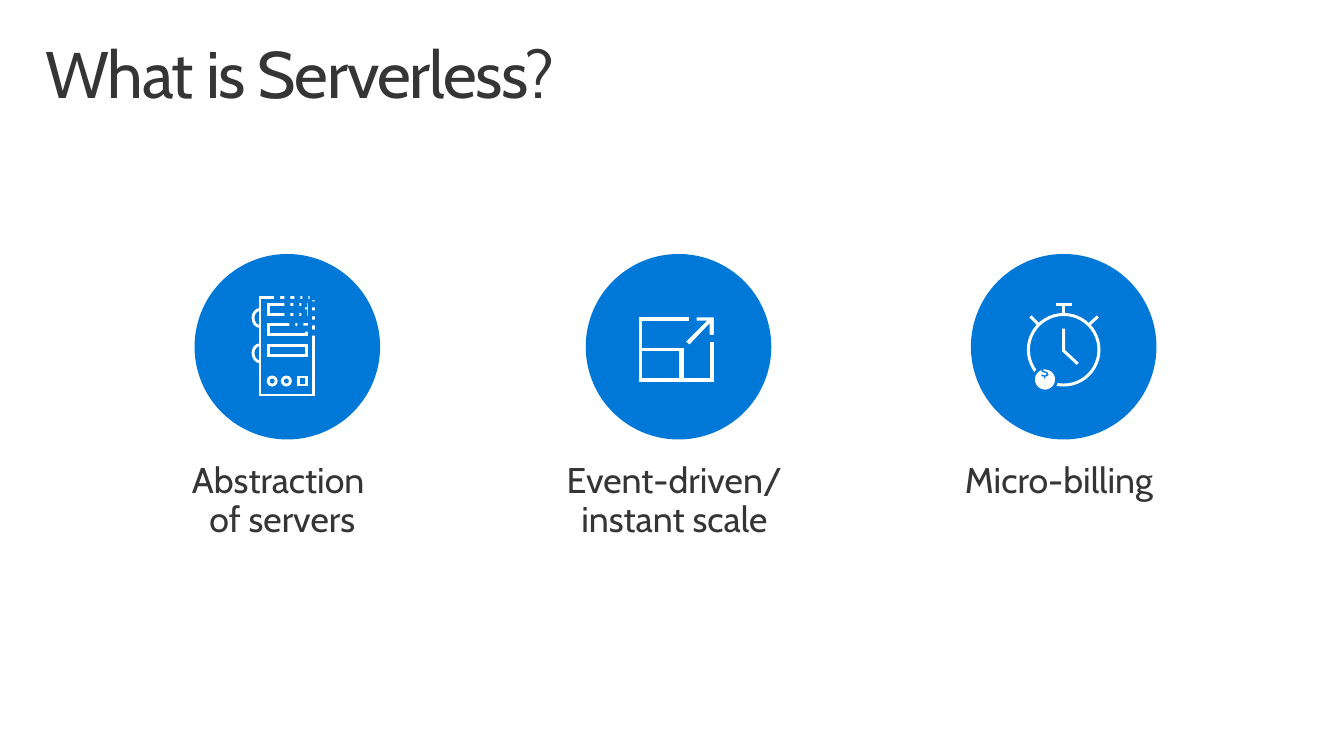
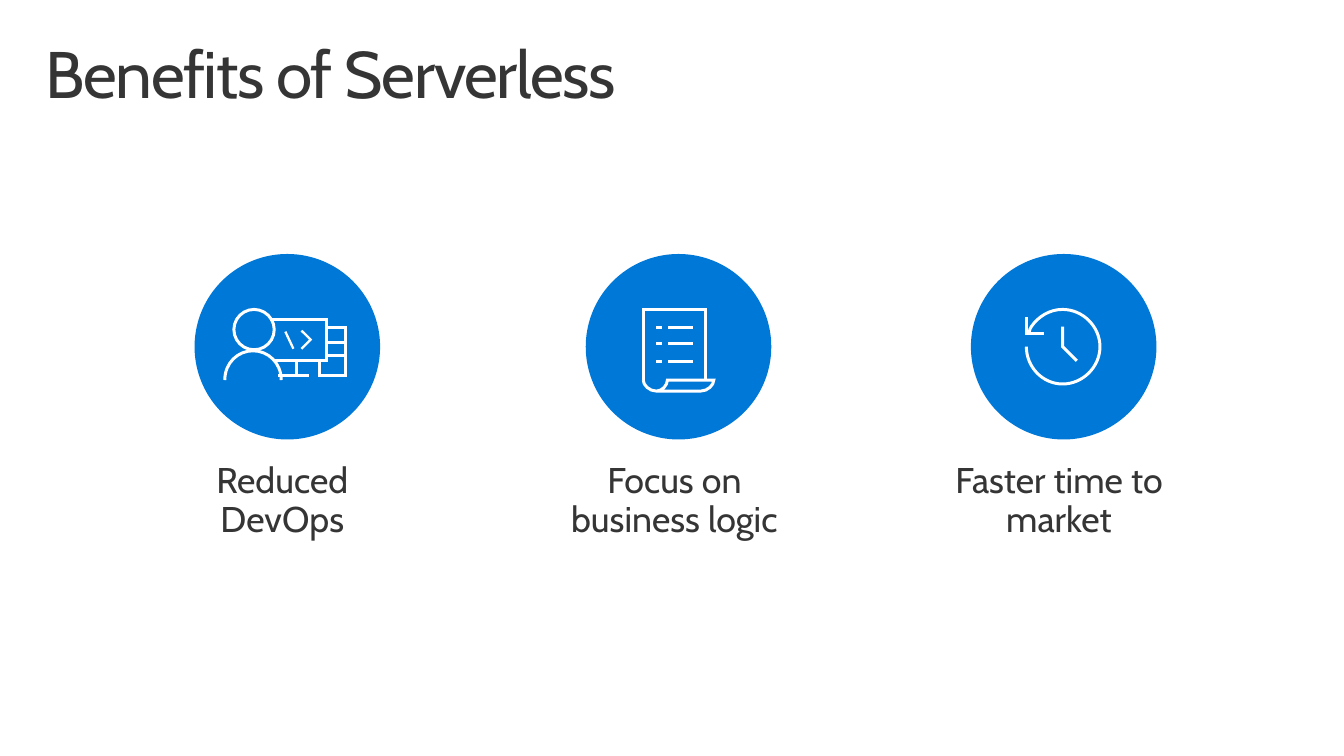
from lxml.etree import SubElement
from pptx import Presentation
from pptx.dml.color import RGBColor
from pptx.enum.shapes import MSO_CONNECTOR as Link, MSO_SHAPE as Kind
from pptx.enum.text import MSO_ANCHOR as Anchor, MSO_AUTO_SIZE as Fit, PP_ALIGN as Align
from pptx.oxml.ns import qn
from pptx.util import Pt

PX = 9144  # 100 px to the inch
BLUE = RGBColor(0x00, 0x78, 0xD7)
WHITE = RGBColor(0xFF, 0xFF, 0xFF)
INK = RGBColor(0x35, 0x35, 0x35)

THIN, MID, BOLD = 1.63, 2, 2.13
TOP, SIZE = 252, 184
COLUMNS = [(193, 144, 282), (581, 528, 292), (963, 921, 269)]  # badge x, caption x, width

TITLE = {"name": "Cabin", "size": Pt(47)}
CAPTION = {"name": "Cabin", "size": Pt(25.5)}
SIGN = {"name": "Cabin", "size": Pt(11.8)}


def px(*nums):
    return [round(n * PX) for n in nums]


def style(frame, text, form, color, pad, **para):
    """Fill a text frame and format its only paragraph."""
    sides = ("margin_left", "margin_top", "margin_right", "margin_bottom")
    for side, size in zip(sides, px(*pad)):
        setattr(frame, side, size)
    frame.vertical_anchor = Anchor.TOP
    frame.text = text
    first = frame.paragraphs[0]
    for key, val in {"line_spacing": 0.9, **para}.items():
        setattr(first, key, val)
    for run in first.runs:
        for key, val in form.items():
            setattr(run.font, key, val)
        run.font.color.rgb = color


def stroke(shape, width, color=WHITE):
    shape.line.color.rgb = color
    shape.line.width = Pt(width)
    SubElement(shape.line._get_or_add_ln(), qn("a:miter"), lim="800000")


def paint(shape, fill=None, width=0, color=WHITE):
    shape.shadow.inherit = False
    if fill is None:
        shape.fill.background()
    else:
        shape.fill.solid()
        shape.fill.fore_color.rgb = fill
    if width:
        stroke(shape, width, color)
    else:
        shape.line.fill.background()


def block(art, kind, box, **look):
    paint(art.add_shape(kind, *px(*box)), **look)


def line(art, ends, width=BOLD):
    link = art.add_connector(Link.STRAIGHT, *px(*ends))
    stroke(link, width)
    SubElement(link._element.spPr, qn("a:effectLst"))


def trace(art, *parts, close=False, **look):
    """Draw one outline made of one or more lists of points."""
    pen = None
    for part in parts:
        start, *rest = [px(*spot) for spot in part]
        if pen is None:
            pen = art.build_freeform(*start)
        else:
            pen.move_to(*start)
        pen.add_line_segments(rest, close=close)
    shape = pen.convert_to_shape()
    paint(shape, **look)
    return shape


def curve(art, spots, width=BOLD):
    """Draw a Bezier outline: a start, then two handles and an end per piece."""
    shape = trace(art, spots, width=width)
    steps = list(shape._element.iter(qn("a:lnTo")))
    for first, *others in zip(steps[::3], steps[1::3], steps[2::3]):
        first.tag = qn("a:cubicBezTo")
        for step in others:
            first.append(step[0])
            step.getparent().remove(step)


def server(art):
    block(art, Kind.RECTANGLE, (258, 295, 53, 97), width=MID)
    for y in (302, 322, 343):
        block(art, Kind.RECTANGLE, (266, y, 38, 10), width=MID)
    for y in (307, 342):
        curve(art, [(258, y + 17), (254, y + 17), (251, y + 13), (251, y + 8),
                    (251, y + 4), (254, y), (258, y)], MID)
    for kind, x in ((Kind.OVAL, 266), (Kind.OVAL, 280), (Kind.RECTANGLE, 296)):
        block(art, kind, (x, 374, 8, 8), width=MID)
    bits = [(272, 292), (292, 292), (300, 291), (307, 292), (299, 299), (291, 298),
            (299, 307), (282, 291), (309, 299), (309, 308), (308, 317), (308, 327),
            (291, 309), (295, 320), (300, 323), (287, 320), (282, 298), (282, 310)]
    for x, y in bits:
        block(art, Kind.RECTANGLE, (x, y, 6, 8 if y == 307 else 6), fill=BLUE)


def resize(art):
    look = {"close": True, "fill": WHITE, "width": 1.25, "color": BLUE}
    frame = [(703, 374), (679, 374), (679, 344), (638, 344), (638, 319), (684, 319),
             (684, 314), (633, 314), (633, 380), (709, 380), (709, 338), (703, 338)]
    pane = [(638, 349), (673, 349), (673, 374), (638, 374)]
    arrow = [(690, 319), (699, 319), (679, 339), (684, 343), (703, 323),
             (703, 333), (709, 333), (709, 314), (690, 314)]
    trace(art, frame, pane, **look)
    trace(art, arrow, **look)


def watch(art):
    trace(art, [(1055, 326), (1055, 348), (1069, 361)], width=BOLD)
    block(art, Kind.OVAL, (1020, 312, 70, 70), width=BOLD)
    for ends in ((1047, 302, 1063, 302), (1055, 312, 1055, 302),
                 (1089, 314, 1079, 323), (1022, 314, 1031, 323)):
        line(art, ends)
    block(art, Kind.OVAL, (1025, 365, 23, 23), fill=WHITE, width=MID, color=BLUE)
    sign = art.add_textbox(*px(1012, 352, 49, 49)).text_frame
    sign.word_wrap = False
    sign.auto_size = Fit.SHAPE_TO_FIT_TEXT
    style(sign, "$", SIGN, BLUE, (20, 16, 20, 16), space_after=Pt(5.9))


def coder(art):
    block(art, Kind.OVAL, (232, 307, 40, 40), width=BOLD)
    curve(art, [(279, 377), (279, 360), (266, 348), (251, 348),
                (236, 348), (223, 360), (223, 377)])
    trace(art, [(273, 358), (324, 358), (324, 317), (268, 317)], width=BOLD)
    trace(art, [(324, 325), (343, 325), (343, 373), (317, 373), (317, 358)], width=BOLD)
    for ends in ((294, 373, 294, 358), (306, 373, 276, 373),
                 (343, 340, 324, 340), (343, 353, 324, 353)):
        line(art, ends)
    line(art, (283, 329, 291, 346), THIN)
    trace(art, [(299, 328), (308, 337), (299, 346)], width=THIN)


def scroll(art):
    curve(art, [(638, 377), (638, 382), (644, 388), (651, 388),
                (657, 388), (662, 382), (662, 377),
                (708, 377), (708, 377), (708, 377),
                (708, 382), (702, 388), (695, 388),
                (651, 388), (651, 388), (651, 388)])
    trace(art, [(638, 377), (638, 307), (700, 307), (700, 377)], width=BOLD)
    for y in (325, 341, 359):
        line(art, (663, y, 687, y))
        line(art, (651, y, 657, y))


def clock(art):
    curve(art, [(1020, 330), (1020, 330), (1021, 330), (1021, 329),
                (1021, 327), (1022, 326), (1023, 324),
                (1030, 314), (1041, 307), (1054, 307),
                (1074, 307), (1091, 324), (1091, 344),
                (1091, 364), (1074, 381), (1054, 381),
                (1034, 381), (1018, 364), (1018, 344)])
    trace(art, [(1054, 324), (1054, 344), (1068, 358)], width=BOLD)
    trace(art, [(1035, 331), (1018, 331), (1018, 315)], width=BOLD)


def head(slide, text):
    title = slide.shapes.title
    title.left, title.top, title.width, title.height = px(29, 31, 1275, 98)
    frame = title.text_frame
    frame.auto_size = Fit.NONE
    style(frame, text, TITLE, INK, (16, 10, 16, 10), alignment=Align.LEFT)
    for run in frame.paragraphs[0].runs:
        run.font._element.set("spc", "-100")


def label(slide, text, x, wide, rows):
    frame = slide.shapes.add_textbox(*px(x, 443, wide, 33 + 39 * rows)).text_frame
    frame.word_wrap = True
    frame.auto_size = Fit.SHAPE_TO_FIT_TEXT
    style(frame, text, CAPTION, INK, (10, 16, 20, 16),
          alignment=Align.CENTER, space_after=Pt(12))


def build(deck, text, items):
    slide = deck.slides.add_slide(deck.slide_layouts[5])
    head(slide, text)
    for (left, x, wide), (icon, words, rows) in zip(COLUMNS, items):
        label(slide, words, x, wide, rows)
        art = slide.shapes.add_group_shape().shapes
        block(art, Kind.OVAL, (left, TOP, SIZE, SIZE), fill=BLUE)
        icon(art)


def main():
    deck = Presentation()
    deck.slide_width, deck.slide_height = px(1333, 750)
    build(deck, "What is Serverless?\v", [
        (server, "Abstraction \vof servers", 2),
        (resize, "Event-driven/ instant scale", 2),
        (watch, "Micro-billing", 1),
    ])
    build(deck, "Benefits of Serverless\v", [
        (coder, "Reduced DevOps", 2),
        (scroll, "Focus on business logic", 2),
        (clock, "Faster time to market", 2),
    ])
    deck.save("out.pptx")


if __name__ == "__main__":
    main()
